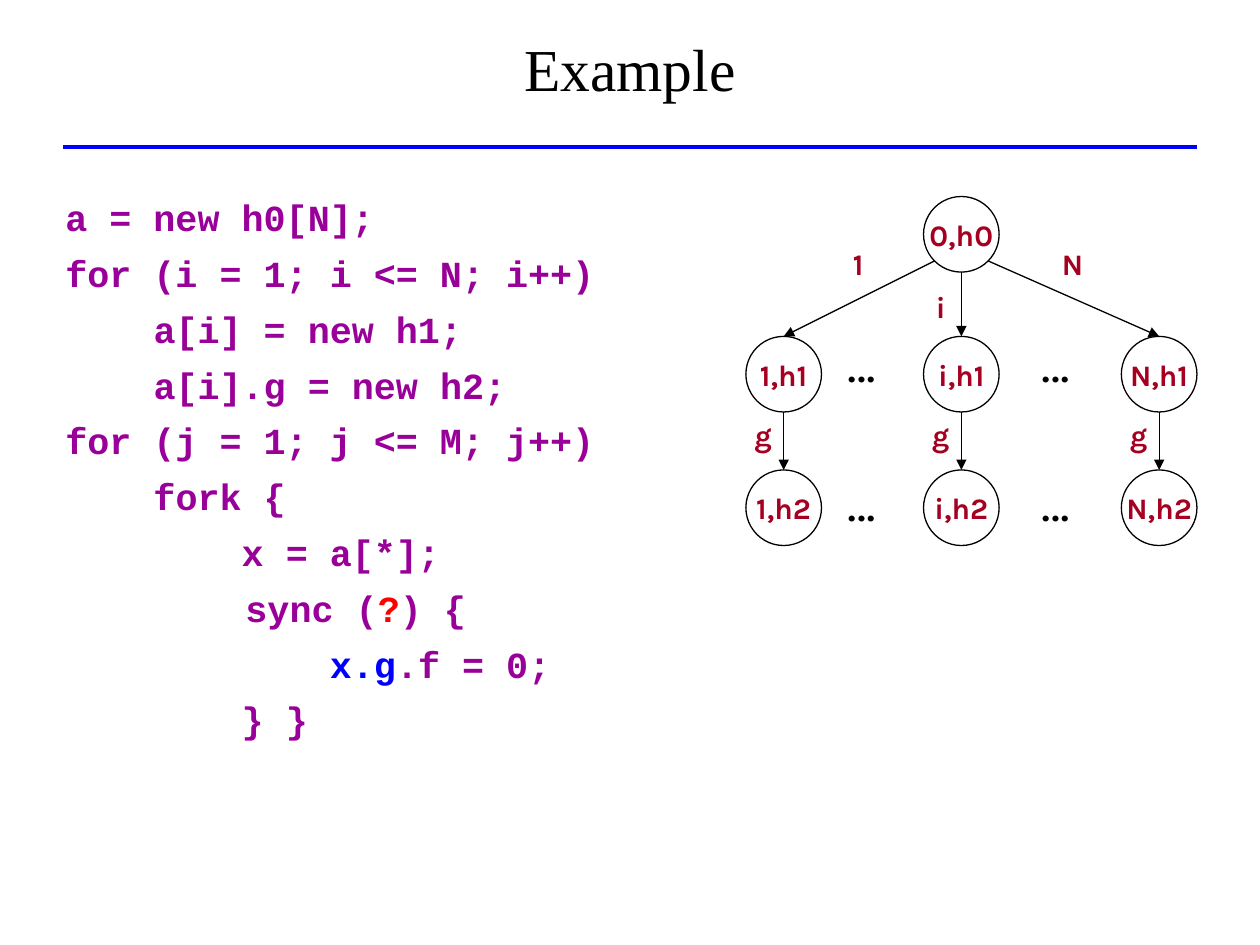
from lxml import etree
from pptx import Presentation
from pptx.dml.color import RGBColor
from pptx.enum.shapes import MSO_CONNECTOR, MSO_SHAPE
from pptx.enum.text import MSO_ANCHOR, MSO_AUTO_SIZE, PP_ALIGN
from pptx.oxml.ns import qn
from pptx.util import Emu, Pt

STRAIGHT, OVAL = MSO_CONNECTOR.STRAIGHT, MSO_SHAPE.OVAL
MIDDLE, CENTER, LEFT = MSO_ANCHOR.MIDDLE, PP_ALIGN.CENTER, PP_ALIGN.LEFT
NO_FIT = MSO_AUTO_SIZE.NONE

SCALE = 9144  # EMU per px, 100 px to the inch
COLORS = {"black": "000000", "rule": "0000FF", "code": "990099",
          "path": "0000FF", "unknown": "FF0000", "label": "A50021"}
TITLE = {"name": "Times New Roman", "size": Pt(34), "bold": False}
CODE = {"name": "Courier New", "size": Pt(21), "bold": True}
LABEL = {"name": "Karla", "size": Pt(17), "bold": True}
DOTS = {"name": "Karla", "size": Pt(30), "bold": False}

# Each code line: indent in px, then its coloured spans
ALLOCATION = [
    (0, [("a = new h0[N];", "code")]),
    (0, [("for (i = 1; i <= N; i++)", "code")]),
    (70, [("a[i] = new h1;", "code")]),
    (70, [("a[i].g = new h2;", "code")]),
]
THREADS = [
    (0, [("for (j = 1; j <= M; j++)", "code")]),
    (70, [("fork {", "code")]),
    (140, [("x = a[*];", "code")]),
    (143, [("sync (", "code"), ("?", "unknown"), (") {", "code")]),
    (210, [("x.g", "path"), (".f = 0;", "code")]),
    (140, [("} }", "code")]),
]
HANGING = 38

NODE = 60
ROOT_TOP, H1_TOP, H2_TOP = 156, 267, 373
# Index, centre x, arrow start at the root, box of the edge label
BRANCHES = [
    ("1", 622, (742, 207), (667, 190, 33, 39)),
    ("i", 763, (763, 216), (733, 224, 27, 39)),
    ("N", 920, (784, 207), (833, 190, 39, 39)),
]


def px(*lengths):
    return [Emu(length * SCALE) for length in lengths]


def add_span(para, text, style, color):
    span = para.add_run()
    span.text = text
    for key, value in style.items():
        setattr(span.font, key, value)
    span.font.color.rgb = RGBColor.from_string(COLORS[color])


def add_text(page, box, text, style, color, wrap=False):
    frame = page.shapes.add_textbox(*px(*box)).text_frame
    frame.word_wrap = wrap
    para = frame.paragraphs[0]
    para.alignment = LEFT
    add_span(para, text, style, color)


def add_title(page, text):
    title = page.shapes.title
    title.left, title.top, title.width, title.height = px(0, 8, 1000, 92)
    frame = title.text_frame
    frame.auto_size = NO_FIT
    frame.vertical_anchor = MIDDLE
    para = frame.paragraphs[0]
    para.alignment = CENTER
    add_span(para, text, TITLE, "black")


def add_code(page, box, lines):
    frame = page.shapes.add_textbox(*px(*box)).text_frame
    frame.word_wrap = True
    for number, (indent, spans) in enumerate(lines):
        para = frame.add_paragraph() if number else frame.paragraphs[0]
        para.space_before, para.space_after = Pt(5.2), Pt(1.5)
        properties = para._p.get_or_add_pPr()
        properties.set("marL", str((indent + HANGING) * SCALE))
        properties.set("indent", str(-HANGING * SCALE))
        for text, color in spans:
            add_span(para, text, CODE, color)


def add_line(page, start, end, color, width, arrow=False):
    line = page.shapes.add_connector(STRAIGHT, *px(*start, *end))
    line.line.color.rgb = RGBColor.from_string(COLORS[color])
    line.line.width = Pt(width)
    if arrow:
        etree.SubElement(line.line._get_or_add_ln(), qn("a:tailEnd"), type="triangle")
    etree.SubElement(line._element.spPr, qn("a:effectLst"))


def add_node(page, center, top, text):
    node = page.shapes.add_shape(OVAL, *px(center - NODE // 2, top, NODE, NODE))
    node.shadow.inherit = False
    node.fill.background()
    node.line.color.rgb = RGBColor.from_string(COLORS["black"])
    node.line.width = Pt(0.75)
    frame = node.text_frame
    frame.word_wrap = False
    frame.vertical_anchor = MIDDLE
    para = frame.paragraphs[0]
    para.alignment = CENTER
    add_span(para, text, LABEL, "label")


def add_branch(page, index, center, start, label_box):
    """Draw one array element: the edge from the root, its h1 node and its h2 node."""
    add_line(page, start, (center, H1_TOP), "black", 0.75, arrow=True)
    add_text(page, label_box, index, LABEL, "label")
    add_node(page, center, H1_TOP, f"{index},h1")
    add_line(page, (center, H1_TOP + NODE), (center, H2_TOP), "black", 0.75, arrow=True)
    add_text(page, (center - 33, 326, 35, 39), "g", LABEL, "label")
    add_node(page, center, H2_TOP, f"{index},h2")


def main():
    deck = Presentation()
    deck.slide_width, deck.slide_height = px(1000, 750)
    page = deck.slides.add_slide(deck.slide_layouts[5])
    add_line(page, (50, 117), (950, 117), "rule", 2.25)
    add_title(page, "Example")
    add_code(page, (42, 150, 492, 192), ALLOCATION)
    add_code(page, (42, 327, 500, 267), THREADS)
    add_node(page, 763, ROOT_TOP, "0,h0")
    for branch in BRANCHES:
        add_branch(page, *branch)
    for left in (663, 817):
        for top in (257, 367):
            add_text(page, (left, top, 58, 60), "…", DOTS, "black", wrap=True)
    deck.save("out.pptx")


if __name__ == "__main__":
    main()
